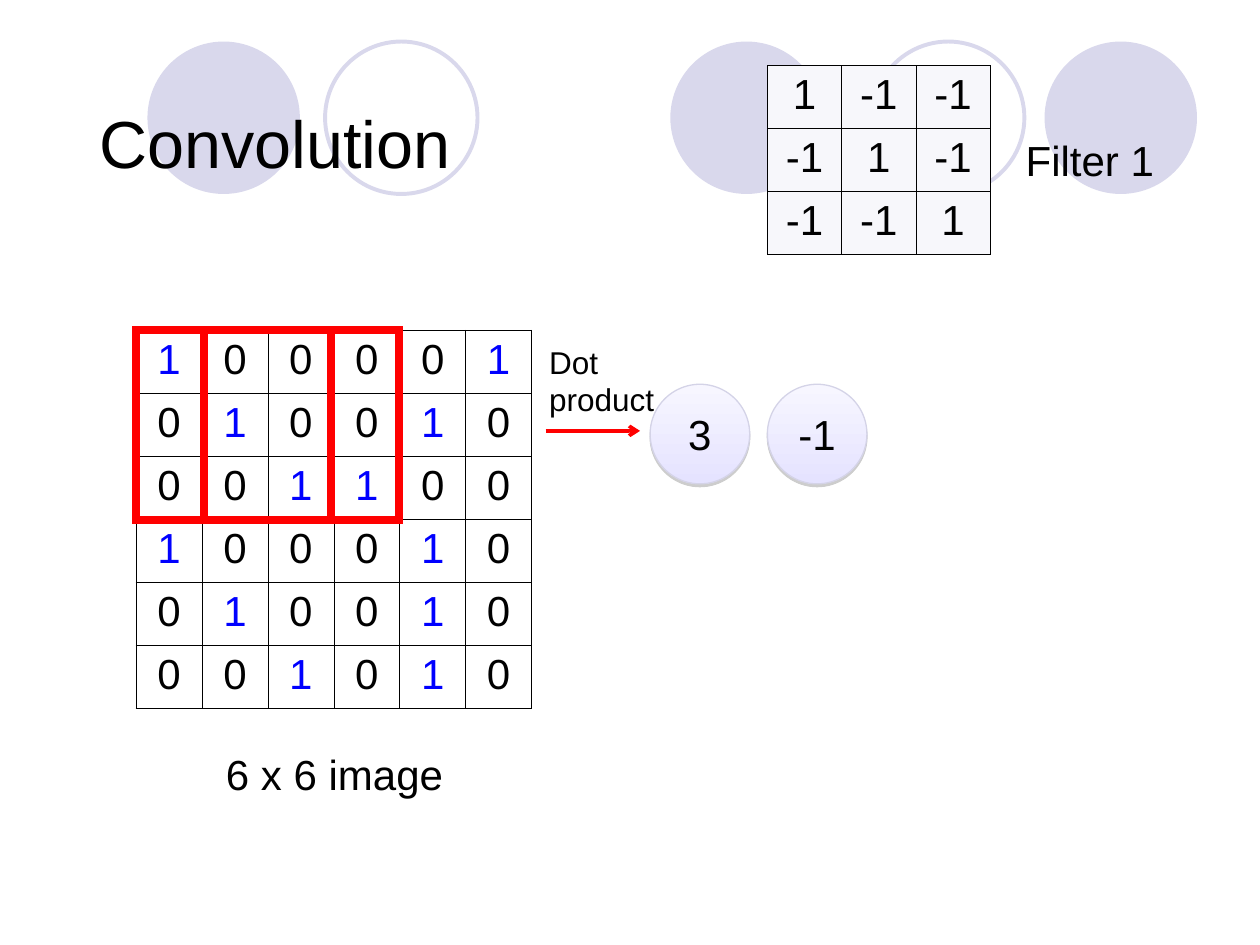
import lxml.etree
import pptx
import pptx.dml.color
import pptx.enum.shapes
import pptx.enum.text
import pptx.oxml
import pptx.oxml.ns
import pptx.util

COLORS = {
    "text": "000000", "one": "0000FF", "window": "FF0000",
    "lilac": "D9D8EC", "filter": "F7F7FB", "rim": "D4D3E7",
    "light": "F7F6FF", "deep": "E5E3FF", "shadow": "808080",
}
FONT = "Arial"
ROW = 0.5
IMAGE = ["100001", "010010", "001100", "100010", "010010", "001010"]
FILTER = [[1, -1, -1], [-1, 1, -1], [-1, -1, 1]]
IMAGE_LEFT, IMAGE_TOP, IMAGE_WIDTH = 1.08, 2.62, 3.14
FILTER_LEFT, FILTER_TOP, FILTER_WIDTH = 6.09, 0.52, 1.77
ALIGN = pptx.enum.text.PP_ALIGN
ANCHOR = pptx.enum.text.MSO_ANCHOR
AUTO_SIZE = pptx.enum.text.MSO_AUTO_SIZE
SHAPE = pptx.enum.shapes.MSO_SHAPE
NAMESPACE = pptx.oxml.ns.nsdecls("a")


def rgb(name):
    return pptx.dml.color.RGBColor.from_string(COLORS[name])


def inches(*lengths):
    return [pptx.util.Inches(length) for length in lengths]


def write(frame, lines, size=24, align=ALIGN.CENTER, color="text"):
    frame.text = "\n".join(lines)
    for para in frame.paragraphs:
        para.alignment = align
        para.font.name = FONT
        para.font.size = pptx.util.Pt(size)
        para.font.color.rgb = rgb(color)


def add_label(page, area, lines, size=24, align=ALIGN.CENTER, wrap=True):
    box = page.shapes.add_textbox(*inches(*area))
    box.text_frame.word_wrap = wrap
    box.text_frame.auto_size = AUTO_SIZE.SHAPE_TO_FIT_TEXT
    write(box.text_frame, lines, size, align)


def add_outline(page, kind, area, color, width):
    shape = page.shapes.add_shape(kind, *inches(*area))
    shape.shadow.inherit = False
    shape.fill.background()
    shape.line.color.rgb = rgb(color)
    shape.line.width = pptx.util.Pt(width)
    return shape


def add_decoration(page):
    """Row of pale circles behind the heading, some filled and some open."""
    for left, filled in [(5.32, True), (8.29, True), (1.17, True),
                         (6.92, False), (2.58, False)]:
        circle = add_outline(page, SHAPE.OVAL, (left, 0.33, 1.21, 1.21), "lilac", 2.25)
        if filled:
            circle.fill.solid()
            circle.fill.fore_color.rgb = rgb("lilac")
            circle.line.fill.background()


def add_title(page, text):
    title = page.shapes.title
    title.left, title.top, title.width, title.height = inches(0.69, 0.4, 8.63, 1.45)
    title.text_frame.auto_size = AUTO_SIZE.NONE
    title.text_frame.vertical_anchor = ANCHOR.MIDDLE
    write(title.text_frame, [text], 38, ALIGN.LEFT)
    title.element.getparent().append(title.element)  # in front of the circles


def set_borders(cell, width=0.45):
    properties = cell._tc.get_or_add_tcPr()
    for index, side in enumerate("LRTB"):
        properties.insert(index, pptx.oxml.parse_xml(
            f'<a:ln{side} {NAMESPACE} w="{pptx.util.Pt(width)}"><a:solidFill>'
            f'<a:srgbClr val="{COLORS["text"]}"/></a:solidFill></a:ln{side}>'))


def add_matrix(page, left, top, width, values, fill=None, ones="text"):
    rows, columns = len(values), len(values[0])
    area = inches(left, top, width, rows * ROW)
    table = page.shapes.add_table(rows, columns, *area).table
    table.first_row = table.horz_banding = False
    for column in table.columns:
        column.width = pptx.util.Inches(width / columns)
    for row, numbers in enumerate(values):
        for column, number in enumerate(numbers):
            cell = table.cell(row, column)
            text = str(number)
            write(cell.text_frame, [text], color=ones if text == "1" else "text")
            if fill:
                cell.fill.solid()
                cell.fill.fore_color.rgb = rgb(fill)
            else:
                cell.fill.background()
            set_borders(cell)


def add_window(page, left):
    """Square-cornered frame around the patch under the filter."""
    area = (left, IMAGE_TOP, 1.55, 1.51)
    window = add_outline(page, SHAPE.RECTANGLE, area, "window", 4.5)
    line = window.line._get_or_add_ln()
    lxml.etree.SubElement(line, pptx.oxml.ns.qn("a:miter"), lim="800000")


def add_result(page, left, text):
    ball = add_outline(page, SHAPE.OVAL, (left, 3.05, 0.79, 0.79), "rim", 0.75)
    ball.fill.gradient()
    ball.fill.gradient_angle = 270
    for stop, name in zip(ball.fill.gradient_stops, ["light", "deep"]):
        stop.color.rgb = rgb(name)
    effects = ball.element.spPr.find(pptx.oxml.ns.qn("a:effectLst"))
    effects.append(pptx.oxml.parse_xml(
        f'<a:outerShdw {NAMESPACE} blurRad="0" dist="{pptx.util.Pt(1.6)}" dir="5400000">'
        f'<a:srgbClr val="{COLORS["shadow"]}"><a:alpha val="38000"/></a:srgbClr>'
        '</a:outerShdw>'))
    ball.text_frame.vertical_anchor = ANCHOR.MIDDLE
    ball.text_frame.word_wrap = False
    write(ball.text_frame, [text])


def add_arrow(page, start, end):
    arrow = page.shapes.add_connector(
        pptx.enum.shapes.MSO_CONNECTOR.STRAIGHT, *inches(*start, *end))
    arrow.line.color.rgb = rgb("window")
    arrow.line.width = pptx.util.Pt(2)
    qn = pptx.oxml.ns.qn
    lxml.etree.SubElement(arrow.line._get_or_add_ln(), qn("a:tailEnd"), type="arrow")
    lxml.etree.SubElement(arrow.element.spPr, qn("a:effectLst"))


def main():
    deck = pptx.Presentation()
    deck.slide_width, deck.slide_height = inches(10, 7.5)
    page = deck.slides.add_slide(deck.slide_layouts[5])
    add_decoration(page)
    add_title(page, "Convolution")

    add_matrix(page, IMAGE_LEFT, IMAGE_TOP, IMAGE_WIDTH, IMAGE, ones="one")
    add_label(page, (1.37, 5.89, 2.57, ROW), ["6 x 6 image"])
    add_matrix(page, FILTER_LEFT, FILTER_TOP, FILTER_WIDTH, FILTER, fill="filter")
    add_label(page, (FILTER_LEFT + FILTER_WIDTH, FILTER_TOP + ROW, 1.58, ROW), ["Filter 1"])

    for step, result in enumerate(["3", "-1"]):
        add_window(page, IMAGE_LEFT + step * 0.54)
        add_result(page, 5.16 + step * 0.93, result)
    add_arrow(page, (4.33, 3.42), (5.08, 3.42))
    add_label(page, (4.26, 2.67, 1.04, 0.7), ["Dot", "product"], 18, ALIGN.LEFT, wrap=False)
    deck.save("out.pptx")


if __name__ == "__main__":
    main()
